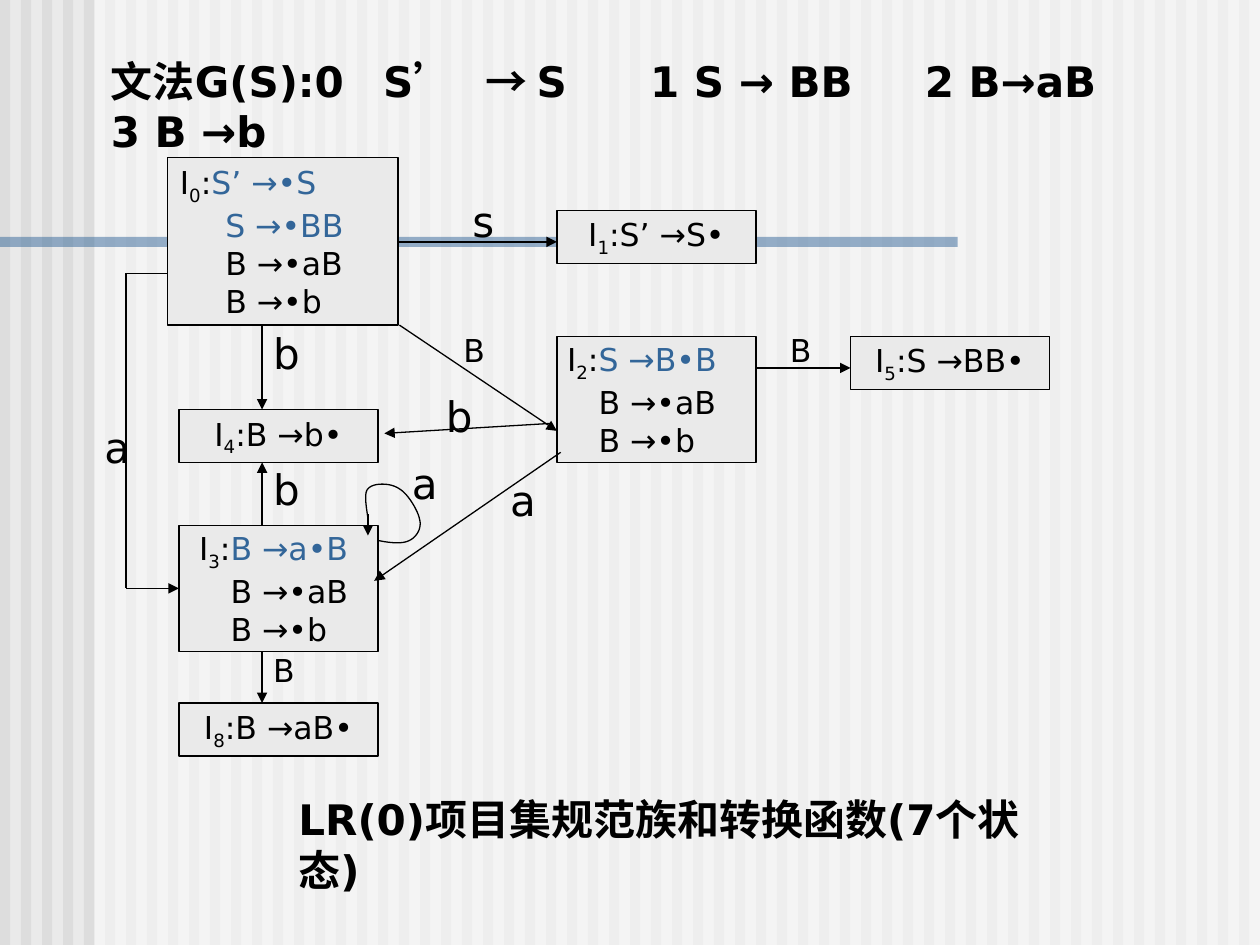
from dataclasses import dataclass

from lxml.etree import SubElement
from pptx import Presentation
from pptx.dml.color import RGBColor
from pptx.enum.shapes import MSO_CONNECTOR as Connector, MSO_SHAPE as Preset
from pptx.enum.text import MSO_ANCHOR as Anchor, MSO_AUTO_SIZE as AutoSize, PP_ALIGN as Align
from pptx.oxml.ns import qn
from pptx.util import Inches, Pt


@dataclass(frozen=True)
class Theme:
    """Colours, font and type sizes of the slide."""
    ink: str = "000000"
    accent: str = "336699"
    paper: str = "EAEAEA"
    stripe: str = "DDDDDD"
    veil: str = "FFFFFF"
    font: str = "DejaVu Sans"
    large: int = 24
    small: int = 18
    line: float = 0.75


@dataclass(frozen=True)
class State:
    """An item set, with its first `kernel` items in the accent colour."""
    number: str
    left: float
    top: float
    items: tuple[str, ...]
    kernel: int = 0
    width: float = 1.58
    height: float = 0.42
    inset: float = 0.1
    indent: float = 0.25


@dataclass(frozen=True)
class Edge:
    """A straight stroke from start to end."""
    start: tuple[float, float]
    end: tuple[float, float]
    arrow: bool = True


@dataclass(frozen=True)
class Label:
    """The symbol on a transition."""
    symbol: str
    left: float
    top: float
    size: int = 24


THEME = Theme()
SLIDE_WIDTH, SLIDE_HEIGHT = 10, 7.5
STRIPES, STRIPE_WIDTH = 60, 0.08

STATES = (
    State("0", 1.33, 1.25, ("S’ →•S", "S →•BB", "B →•aB", "B →•b"), 2, 1.83, 1.33, 0.1, 0.36),
    State("1", 4.42, 1.67, ("S’ →S•",)),
    State("2", 4.42, 2.67, ("S →B•B", "B →•aB", "B →•b"), 1, height=1, inset=0.08),
    State("5", 6.75, 2.67, ("S →BB•",)),
    State("3", 1.42, 4.17, ("B →a•B", "B →•aB", "B →•b"), 1, height=1, inset=0.16),
    State("4", 1.42, 3.25, ("B →b•",)),
    State("8", 1.42, 5.58, ("B →aB•",)),
)
EDGES = (
    Edge((3.17, 1.92), (4.42, 1.92)),
    Edge((3.17, 2.58), (4.42, 3.42)),
    Edge((6, 2.92), (6.75, 2.92)),
    Edge((4.45, 3.59), (2.97, 4.61)),
    Edge((4.38, 3.36), (3.05, 3.44)),
    Edge((2.08, 2.58), (2.08, 3.25)),
    Edge((2.08, 4.17), (2.08, 3.67)),
    Edge((2.08, 5.17), (2.08, 5.58)),
    Edge((1.33, 2.17), (1, 2.17), False),
    Edge((1, 2.17), (1, 4.67), False),
    Edge((1, 4.67), (1.42, 4.67)),
    Edge((2.92, 4.08), (2.92, 4.25)),
)
LABELS = (
    Label("s", 3.65, 1.5),
    Label("B", 3.58, 2.58, THEME.small),
    Label("B", 6.17, 2.58, THEME.small),
    Label("a", 3.95, 3.72),
    Label("b", 3.44, 3.05),
    Label("b", 2.07, 2.55),
    Label("b", 2.07, 3.63),
    Label("B", 2.07, 5.12, THEME.small),
    Label("a", 0.73, 3.3),
    Label("a", 3.17, 3.58),
)
SELF_LOOP = (
    ((3, 4.29), (3.1, 4.31), (3.19, 4.32), (3.25, 4.29)),
    ((3.25, 4.29), (3.31, 4.26), (3.35, 4.19), (3.33, 4.12)),
    ((3.33, 4.12), (3.32, 4.06), (3.24, 3.92), (3.17, 3.88)),
    ((3.17, 3.88), (3.1, 3.83), (2.96, 3.83), (2.92, 3.88)),
    ((2.92, 3.88), (2.88, 3.92), (2.92, 4.08), (2.92, 4.12)),
)
GRAMMAR = "文法G(S):0\tS’\t→ S\t1 S → BB\t2 B→aB\n3 B →b"
GRAMMAR_TABS = (2.16, 2.97, 4.28, 6.46)
CAPTION = "LR(0)项目集规范族和转换函数(7个状态)"


def style_run(run, size: int, color: str = THEME.ink, bold: bool = False) -> None:
    """Give a run its font, size, colour and weight."""
    run.font.name, run.font.size, run.font.bold = THEME.font, Pt(size), bold
    run.font.color.rgb = RGBColor.from_string(color)


def style_line(line) -> None:
    """Give a line the diagram's stroke."""
    line.color.rgb = RGBColor.from_string(THEME.ink)
    line.width = Pt(THEME.line)


def draw_block(slide, left: float, top: float, width: float, height: float,
               color: str, alpha: int = 100):
    """Draw a borderless rectangle, see-through when alpha is below 100."""
    block = slide.shapes.add_shape(Preset.RECTANGLE, Inches(left), Inches(top),
                                   Inches(width), Inches(height))
    block.shadow.inherit = False
    block.fill.solid()
    block.fill.fore_color.rgb = RGBColor.from_string(color)
    block.line.fill.background()
    if alpha < 100:
        tint = block.fill._xPr.find(qn("a:solidFill"))[0]
        SubElement(tint, qn("a:alpha"), val=str(alpha * 1000))
    return block


def draw_state(slide, state: State) -> None:
    """Draw an item set box with its numbered list of items."""
    box = draw_block(slide, state.left, state.top, state.width, state.height, THEME.paper)
    style_line(box.line)
    frame = box.text_frame
    frame.word_wrap, frame.vertical_anchor = True, Anchor.MIDDLE
    frame.margin_left = frame.margin_right = Inches(state.inset)
    for index, item in enumerate(state.items):
        paragraph = frame.add_paragraph() if index else frame.paragraphs[0]
        paragraph.alignment = Align.LEFT if len(state.items) > 1 else Align.CENTER
        if index:
            paragraph._p.get_or_add_pPr().set("marL", str(Inches(state.indent)))
        parts = (item,) if index else ("I", state.number, ":", item)
        for part in parts:
            run = paragraph.add_run()
            run.text = part
            style_run(run, THEME.small)
        if not index:
            paragraph.runs[1].font._element.set("baseline", "-25000")
        if index < state.kernel:
            paragraph.runs[-1].font.color.rgb = RGBColor.from_string(THEME.accent)


def draw_edge(slide, edge: Edge) -> None:
    """Draw a transition stroke, with an arrowhead at its end if asked."""
    stroke = slide.shapes.add_connector(Connector.STRAIGHT, *map(Inches, edge.start + edge.end))
    style_line(stroke.line)
    if edge.arrow:
        SubElement(stroke.line._get_or_add_ln(), qn("a:tailEnd"), type="triangle")
    SubElement(stroke._element.spPr, qn("a:effectLst"))


def draw_text(slide, text: str, left: float, top: float, width: float, height: float,
              size: int, bold: bool = False, wrap: bool = False) -> None:
    """Draw a line of text in a box."""
    box = slide.shapes.add_textbox(Inches(left), Inches(top), Inches(width), Inches(height))
    box.text_frame.text, box.text_frame.word_wrap = text, wrap
    style_run(box.text_frame.paragraphs[0].runs[0], size, bold=bold)


def cubic_point(segment: tuple, t: float) -> tuple:
    """Return the point at t on a cubic segment, as lengths."""
    return tuple(Inches((1 - t) ** 3 * a + 3 * (1 - t) ** 2 * t * b + 3 * (1 - t) * t ** 2 * c + t ** 3 * d)
                 for a, b, c, d in zip(*segment))


def draw_self_loop(slide, steps: int = 12) -> None:
    """Draw the curved loop of state 3 from its cubic segments."""
    points = [cubic_point(segment, step / steps)
              for segment in SELF_LOOP for step in range(1, steps + 1)]
    builder = slide.shapes.build_freeform(*cubic_point(SELF_LOOP[0], 0))
    builder.add_line_segments(points, close=False)
    loop = builder.convert_to_shape()
    loop.shadow.inherit = False
    loop.fill.background()
    style_line(loop.line)


def draw_backdrop(slide) -> None:
    """Draw the striped ground, its veil and the accent bar."""
    slide.background.fill.solid()
    slide.background.fill.fore_color.rgb = RGBColor.from_string(THEME.paper)
    for index in range(STRIPES):
        draw_block(slide, index * SLIDE_WIDTH / STRIPES, 0, STRIPE_WIDTH, SLIDE_HEIGHT, THEME.stripe)
    draw_block(slide, 0.75, 0, 9.25, SLIDE_HEIGHT, THEME.veil, 50)
    draw_block(slide, 0, 1.88, 7.6, 0.08, THEME.accent, 50)


def place_title(slide) -> None:
    """Set the grammar in the title placeholder, above the backdrop."""
    title = slide.shapes.title
    title.left, title.top, title.width, title.height = map(Inches, (0.78, 0.39, 8.83, 0.9))
    frame = title.text_frame
    frame.text = GRAMMAR
    frame.auto_size, frame.word_wrap, frame.vertical_anchor = AutoSize.NONE, True, Anchor.TOP
    for paragraph in frame.paragraphs:
        paragraph.alignment = Align.LEFT
        tabs = SubElement(paragraph._p.get_or_add_pPr(), qn("a:tabLst"))
        for stop in GRAMMAR_TABS:
            SubElement(tabs, qn("a:tab"), pos=str(Inches(stop)), algn="l")
        for run in paragraph.runs:
            style_run(run, THEME.large, bold=True)
    slide.shapes._spTree.append(title._element)


def main() -> None:
    """Build the slide and save it."""
    deck = Presentation()
    deck.slide_width, deck.slide_height = Inches(SLIDE_WIDTH), Inches(SLIDE_HEIGHT)
    slide = deck.slides.add_slide(deck.slide_layouts[5])
    draw_backdrop(slide)
    for state in STATES:
        draw_state(slide, state)
    for edge in EDGES:
        draw_edge(slide, edge)
    draw_self_loop(slide)
    for label in LABELS:
        draw_text(slide, label.symbol, label.left, label.top, 0.37, label.size / 60 + 0.1, label.size)
    draw_text(slide, CAPTION, 2.27, 6.25, 6.19, 0.9, THEME.large, bold=True, wrap=True)
    place_title(slide)
    deck.save("out.pptx")


if __name__ == "__main__":
    main()
